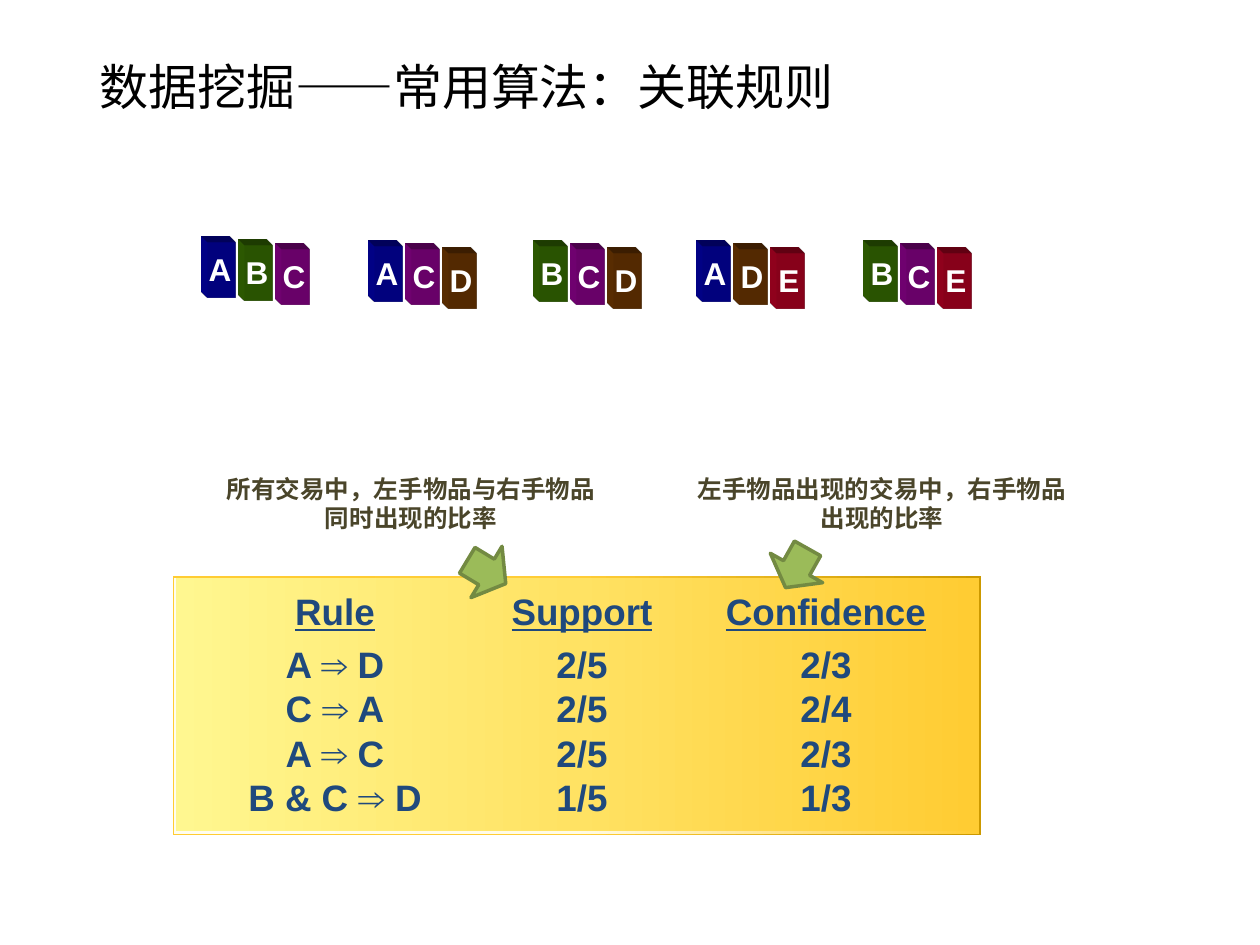
from lxml.etree import SubElement
from pptx import Presentation
from pptx.dml.color import RGBColor
from pptx.enum.shapes import MSO_SHAPE
from pptx.enum.text import MSO_ANCHOR, PP_ALIGN
from pptx.oxml import parse_xml
from pptx.oxml.ns import nsdecls, qn
from pptx.util import Pt

SCALE = 914400 / 126
COLORS = {
    "title": "000000", "note": "4A452A", "rule": "1F497D", "label": "FFFFFF",
    "arrow": "9BBB59", "edge": "738A42",
    "A": "000099", "B": "336600", "C": "800080", "D": "663300", "E": "A50021",
}
BASKETS = [
    (208, 243, "ABC"), (375, 247, "ACD"), (540, 247, "BCD"),
    (703, 247, "ADE"), (870, 247, "BCE"),
]
LAYERS = [
    (0, 0, 808, 259, ("CC9900", "FFCD37", "FFCC33")),
    (1, 2, 805, 256, ("FFCC33", "FFFBE5", "FFFDEF")),
    (3, 2, 799, 253, ("FFCC33", "FFE263", "FFF790")),
]
COLUMNS = [
    (57, 210, ["Rule", "A ⇒ D", "C ⇒ A", "A ⇒ C", "B & C ⇒ D"]),
    (325, 168, ["Support", "2/5", "2/5", "2/5", "1/5"]),
    (539, 228, ["Confidence", "2/3", "2/4", "2/3", "1/3"]),
]


def px(*sizes):
    """Turn px lengths into EMU."""
    return [round(size * SCALE) for size in sizes]


def paint(shape, color):
    """Give a shape a flat fill with no line or shadow."""
    shape.shadow.inherit = False
    shape.fill.solid()
    shape.fill.fore_color.rgb = RGBColor.from_string(color)
    shape.line.fill.background()


def write(para, text, size, color, face="Arial", bold=True, under=False):
    """Add one styled run to a paragraph."""
    run = para.add_run()
    run.text = text
    font = run.font
    font.size, font.name, font.bold, font.underline = Pt(size), face, bold, under
    font.color.rgb = RGBColor.from_string(COLORS[color])
    SubElement(run._r.get_or_add_rPr(), qn("a:ea")).set("typeface", face)


def add_title(slide, box):
    """Place the slide title."""
    title = slide.shapes.title
    title.left, title.top, title.width, title.height = px(*box)
    frame = title.text_frame
    frame.vertical_anchor = MSO_ANCHOR.MIDDLE
    frame.margin_top = px(12)[0]
    para = frame.paragraphs[0]
    para.alignment = PP_ALIGN.LEFT
    write(para, "数据挖掘——常用算法：关联规则", 28, "title", "Noto Sans CJK SC", False)


def extrude(shape, color):
    """Give a shape depth to the upper left."""
    props = shape._element.spPr
    props.append(parse_xml(
        f'<a:scene3d {nsdecls("a")}><a:camera prst="legacyObliqueTopLeft"/>'
        '<a:lightRig rig="legacyFlat3" dir="b"/></a:scene3d>'))
    props.append(parse_xml(
        f'<a:sp3d {nsdecls("a")} extrusionH="{px(17)[0]}" prstMaterial="legacyMatte">'
        '<a:bevelT w="13500" h="13500" prst="angle"/>'
        '<a:bevelB w="13500" h="13500" prst="angle"/>'
        f'<a:extrusionClr><a:srgbClr val="{color}"/></a:extrusionClr></a:sp3d>'))


def add_block(slide, box, name):
    """Draw a block and its letter."""
    x, y, w, h = box
    shape = slide.shapes.add_shape(MSO_SHAPE.RECTANGLE, *px(*box))
    paint(shape, COLORS[name])
    extrude(shape, COLORS[name])
    frame = slide.shapes.add_textbox(*px(x - 12, y + 1, w + 20, h - 5)).text_frame
    frame.word_wrap = False
    para = frame.paragraphs[0]
    para.alignment = PP_ALIGN.CENTER
    write(para, name, 18, "label")


def add_basket(slide, box, names):
    """Line up the blocks of one transaction."""
    x, y, w, h = box
    for i, name in enumerate(names):
        add_block(slide, (x + 37 * i, y + 7 * i // 2, w, h), name)


def add_layer(slide, box, stops):
    """Draw a panel layer shaded from right to left."""
    shape = slide.shapes.add_shape(MSO_SHAPE.RECTANGLE, *px(*box))
    paint(shape, stops[0])
    marks = "".join(
        f'<a:gs pos="{50000 * i}"><a:srgbClr val="{color}"/></a:gs>'
        for i, color in enumerate(stops))
    fill = parse_xml(f'<a:gradFill {nsdecls("a")} rotWithShape="1"><a:gsLst>{marks}'
                     '</a:gsLst><a:lin ang="10800000" scaled="0"/></a:gradFill>')
    props = shape._element.spPr
    props.replace(props.find(qn("a:solidFill")), fill)


def add_column(slide, box, lines):
    """Write a column of rules under its heading."""
    frame = slide.shapes.add_textbox(*px(*box)).text_frame
    frame.word_wrap = False
    for i, line in enumerate(lines):
        para = frame.add_paragraph() if i else frame.paragraphs[0]
        para.alignment = PP_ALIGN.CENTER
        para.line_spacing = Pt(25.2)
        if i == 1:
            para.space_before = Pt(5)
        write(para, line, 21, "rule", under=i == 0)


def add_rules(slide, box):
    """Build the rule panel."""
    x, y, w, h = box
    for dx, dy, wide, high, stops in LAYERS:
        add_layer(slide, (x + dx, y + dy, wide, high), stops)
    for dx, wide, lines in COLUMNS:
        add_column(slide, (x + dx, y + 7, wide, h - 12), lines)


def add_arrow(slide, box, turn):
    """Draw a turned block arrow."""
    shape = slide.shapes.add_shape(MSO_SHAPE.RIGHT_ARROW, *px(*box))
    paint(shape, COLORS["arrow"])
    shape.line.color.rgb = RGBColor.from_string(COLORS["edge"])
    shape.line.width = Pt(2)
    shape.rotation = turn


def add_note(slide, box, text):
    """Write the meaning of a measure."""
    frame = slide.shapes.add_textbox(*px(*box)).text_frame
    frame.word_wrap = True
    frame.vertical_anchor = MSO_ANCHOR.MIDDLE
    para = frame.paragraphs[0]
    para.alignment = PP_ALIGN.CENTER
    write(para, text, 14, "note", "Calibri")


def main():
    """Build and save the slide."""
    deck = Presentation()
    deck.slide_width, deck.slide_height = px(1260, 945)
    slide = deck.slides.add_slide(deck.slide_layouts[5])
    add_title(slide, (87, 50, 1086, 66))
    add_rules(slide, (173, 576, 808, 259))
    for x, y, names in BASKETS:
        add_basket(slide, (x, y, 28, 55), names)
    add_arrow(slide, (464, 542, 45, 60), 31.2)
    add_arrow(slide, (774, 538, 45, 60), 119.3)
    add_note(slide, (203, 467, 416, 72), "所有交易中，左手物品与右手物品同时出现的比率")
    add_note(slide, (674, 467, 416, 72), "左手物品出现的交易中，右手物品出现的比率")
    deck.save("out.pptx")


if __name__ == "__main__":
    main()
